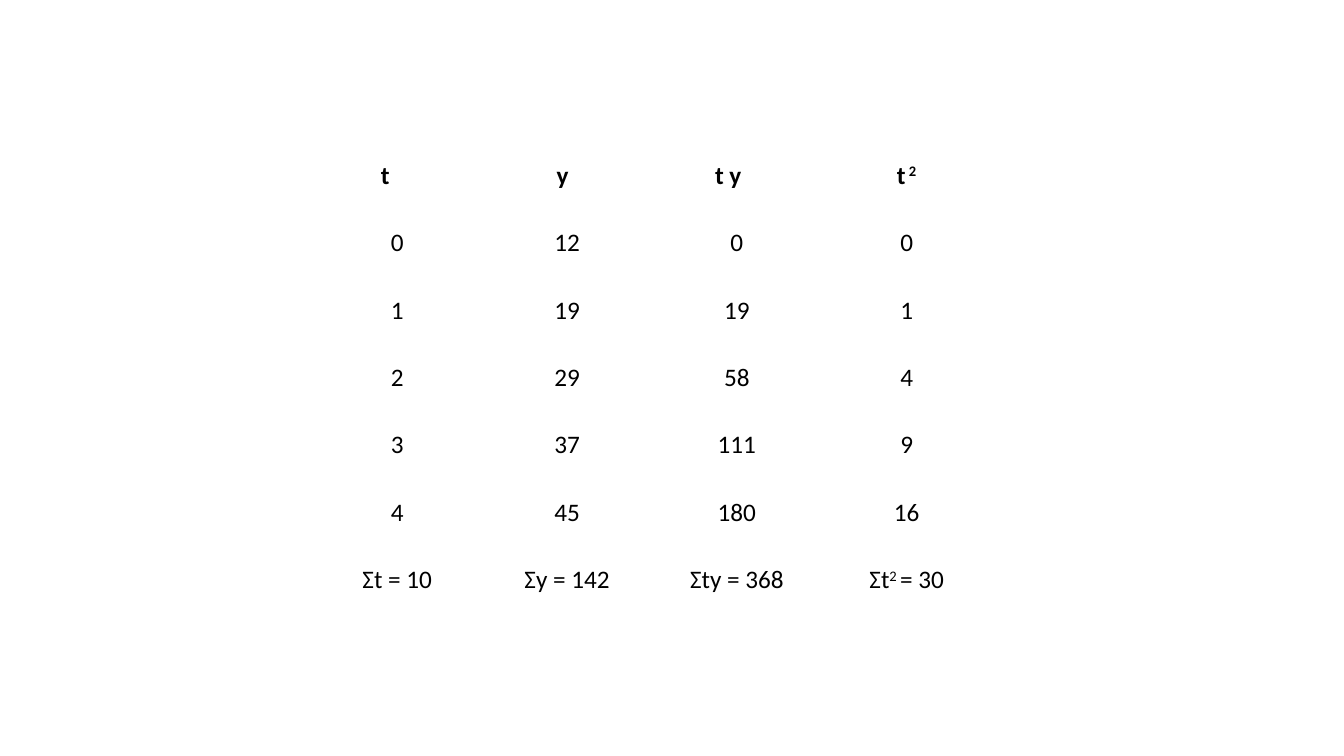
from pptx import Presentation
from pptx.dml.color import RGBColor
from pptx.enum.text import MSO_ANCHOR as Anchor, PP_ALIGN as Align
from pptx.util import Cm, Pt

FONT, SIZE, INK = "Calibri", 18, "000000"
SUPER = "^"  # encloses superscript text
HEADERS = ["t", "y", "t y", "t^\u00a02^"]
HEADER_INDENTS = [1.7, 1.85, 1.56, 1.86]  # cm
Y_VALUES = [12, 19, 29, 37, 45]


def color(hex_text):
    """Return the colour for a hex string."""
    return RGBColor.from_string(hex_text)


def sum_rows():
    """Return the data rows and the closing row of sums."""
    data = [[t, y, t * y, t * t] for t, y in enumerate(Y_VALUES)]
    sums = [sum(column) for column in zip(*data)]
    labels = ["Σt = ", "Σy = ", "Σty = ", "Σt^2\u00a0^= "]
    return data + [[f"{label}{total}" for label, total in zip(labels, sums)]]


def fill_cell(cell, text, bold=False, indent=None):
    """Write text in a clear cell, centred unless an indent is given."""
    cell.fill.background()
    cell.vertical_anchor = Anchor.MIDDLE
    cell.margin_left = cell.margin_right = Cm(0.03)
    cell.margin_top = cell.margin_bottom = Cm(0.05)
    p = cell.text_frame.paragraphs[0]
    if indent is None:
        p.alignment = Align.CENTER
    else:
        p.alignment = Align.LEFT
        p._p.get_or_add_pPr().set("marL", str(Cm(indent)))
    for i, part in enumerate(text.split(SUPER)):
        if not part:
            continue
        r = p.add_run()
        r.text = part
        r.font.name, r.font.size, r.font.bold = FONT, Pt(SIZE), bold
        r.font.color.rgb = color(INK)
        if i % 2:
            r.font._element.set("baseline", "30000")


def add_sums_table(s, left, top, width, height):
    """Place the table of t, y, ty and t squared in the given box."""
    rows = sum_rows()
    table = s.shapes.add_table(len(rows) + 1, len(HEADERS),
                               left, top, width, height).table
    table.first_row = table.horz_banding = False
    for col, (header, indent) in enumerate(zip(HEADERS, HEADER_INDENTS)):
        fill_cell(table.cell(0, col), header, bold=True, indent=indent)
    for row, values in enumerate(rows, start=1):
        for col, value in enumerate(values):
            fill_cell(table.cell(row, col), str(value))


prs = Presentation()
prs.slide_width, prs.slide_height = Cm(33.87), Cm(19.05)
s = prs.slides.add_slide(prs.slide_layouts[6])
add_sums_table(s, Cm(7.87), Cm(3.58), Cm(17.12), Cm(11.89))
prs.save("out.pptx")
